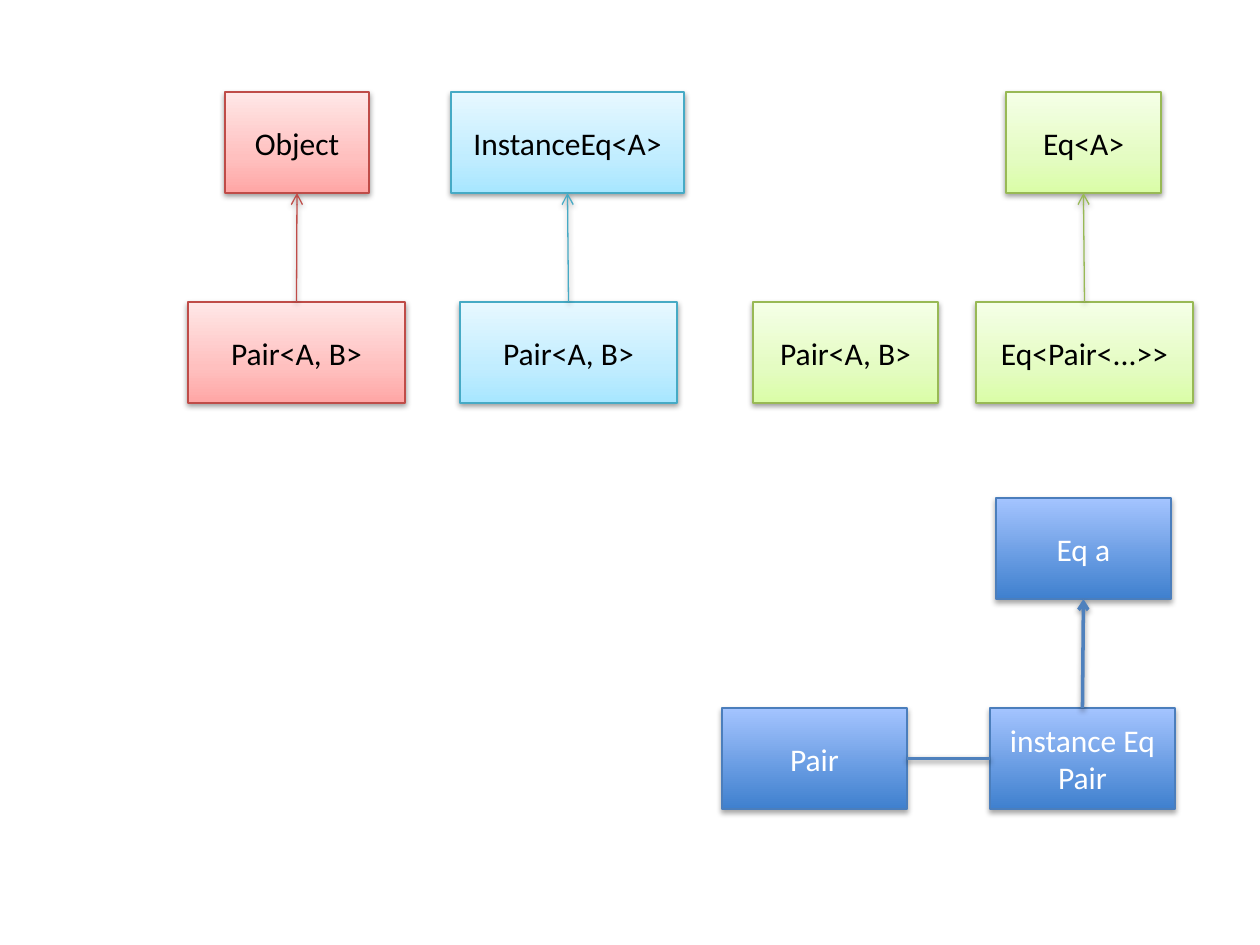
import pptx
import pptx.util
import pptx.dml.color
import pptx.enum.shapes
import pptx.enum.text
import pptx.oxml.ns
from lxml import etree

qn = pptx.oxml.ns.qn
TOP, LEFT, BOTTOM, RIGHT = range(4)

COLORS = {
    "red": "BF4C48", "green": "98B955", "cyan": "46AAC5", "blue": "4B7EBC",
    "link": "4F81BD", "dark": "000000", "light": "FFFFFF",
}
# Gradient stops, bottom to top: percent, colour
GRADIENTS = {
    "red": [(0, "FFA6A5"), (35, "FFC0BF"), (100, "FFE7E7")],
    "green": [(0, "DAFDA7"), (35, "E4FCC2"), (100, "F5FFE7")],
    "cyan": [(0, "A7E6FF"), (35, "C1EDFF"), (100, "E7F8FF")],
    "blue": [(0, "3F80CE"), (100, "A4C4FF")],
}


class Diagram:
    font, size = "Calibri", 18
    box_height = 101

    def __init__(self, prs):
        self.s = prs.slides.add_slide(prs.slide_layouts[6])

    @staticmethod
    def emu(px):
        return round(px * 914400 / 126)

    @staticmethod
    def rgb(name):
        return pptx.dml.color.RGBColor.from_string(COLORS[name])

    @staticmethod
    def add_color(parent, color):
        return etree.SubElement(parent, qn("a:srgbClr"), val=color)

    def add_shadow(self, effects, dist=20000, alpha=38):
        shadow = etree.SubElement(effects, qn("a:outerShdw"), blurRad="40000",
                                  dist=str(dist), dir="5400000", rotWithShape="0")
        color = self.add_color(shadow, COLORS["dark"])
        etree.SubElement(color, qn("a:alpha"), val=str(alpha * 1000))

    def fill_gradient(self, sp, stops):
        sp.fill.gradient()
        sp.fill.gradient_angle = 90
        stop_list = sp._element.spPr.find(qn("a:gradFill")).find(qn("a:gsLst"))
        stop_list.clear()
        for percent, color in stops:
            stop = etree.SubElement(stop_list, qn("a:gs"), pos=str(percent * 1000))
            self.add_color(stop, color)

    def box(self, text, x, y, width, style):
        sp = self.s.shapes.add_shape(
            pptx.enum.shapes.MSO_SHAPE.RECTANGLE,
            *map(self.emu, (x, y, width, self.box_height)))
        self.fill_gradient(sp, GRADIENTS[style])
        sp.line.color.rgb = self.rgb(style)
        sp.line.width = pptx.util.Pt(0.75)
        sp.shadow.inherit = False
        effects = sp._element.spPr.find(qn("a:effectLst"))
        if style == "blue":
            self.add_shadow(effects, 23000, 35)
        else:
            self.add_shadow(effects)
        tf = sp.text_frame
        tf.word_wrap = True
        tf.vertical_anchor = pptx.enum.text.MSO_ANCHOR.MIDDLE
        tf.text = text
        p = tf.paragraphs[0]
        p.alignment = pptx.enum.text.PP_ALIGN.CENTER
        r = p.runs[0]
        r.font.name = self.font
        r.font.size = pptx.util.Pt(self.size)
        r.font.color.rgb = self.rgb("light" if style == "blue" else "dark")
        return sp

    def connect(self, start, start_side, end, end_side, color, width=0.75, arrow=True):
        line = self.s.shapes.add_connector(
            pptx.enum.shapes.MSO_CONNECTOR.STRAIGHT, 0, 0, 0, 0)
        line.begin_connect(start, start_side)
        line.end_connect(end, end_side)
        line.line.color.rgb = self.rgb(color)
        line.line.width = pptx.util.Pt(width)
        spPr = line._element.spPr
        if arrow:
            etree.SubElement(spPr.find(qn("a:ln")), qn("a:tailEnd"), type="arrow")
        self.add_shadow(etree.SubElement(spPr, qn("a:effectLst")))

    def inherit(self, child, parent, color, width=0.75):
        self.connect(child, TOP, parent, BOTTOM, color, width)


def main():
    prs = pptx.Presentation()
    prs.slide_width = Diagram.emu(1260)
    prs.slide_height = Diagram.emu(945)
    d = Diagram(prs)
    row_gap = 210
    upper, lower = 92, 498

    # Class hierarchies: style, parent (text, x, width), child (text, x, width)
    hierarchies = [
        ("red", ("Object", 225, 144), ("Pair<A, B>", 188, 217)),
        ("cyan", ("InstanceEq<A>", 451, 233), ("Pair<A, B>", 460, 217)),
        ("green", ("Eq<A>", 1006, 155), ("Eq<Pair<...>>", 976, 217)),
    ]
    for style, (parent_text, px, pw), (child_text, cx, cw) in hierarchies:
        parent = d.box(parent_text, px, upper, pw, style)
        child = d.box(child_text, cx, upper + row_gap, cw, style)
        d.inherit(child, parent, style)

    # Standalone class
    d.box("Pair<A, B>", 753, upper + row_gap, 185, "green")

    # Type class and its instance
    pair = d.box("Pair", 722, lower + row_gap, 185, "blue")
    type_class = d.box("Eq a", 996, lower, 175, "blue")
    instance = d.box("instance Eq Pair", 990, lower + row_gap, 185, "blue")
    d.connect(pair, RIGHT, instance, LEFT, "link", 2, arrow=False)
    d.inherit(instance, type_class, "link", 2)

    prs.save("out.pptx")


if __name__ == "__main__":
    main()
